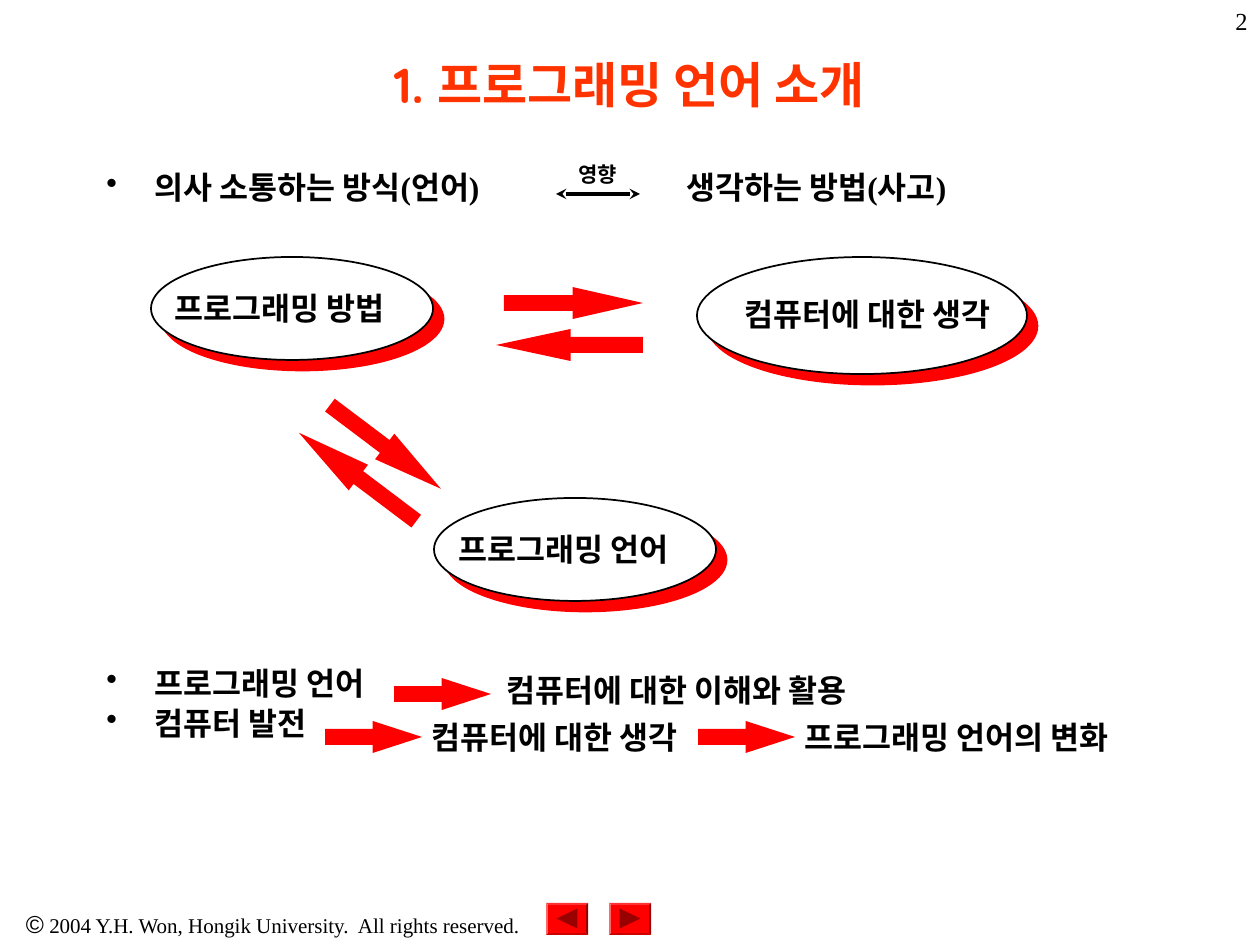
from dataclasses import dataclass

from lxml.etree import SubElement
from pptx import Presentation
from pptx.dml.color import RGBColor
from pptx.enum.shapes import MSO_CONNECTOR, MSO_SHAPE
from pptx.enum.text import MSO_ANCHOR, PP_ALIGN
from pptx.oxml.ns import qn
from pptx.util import Pt

PX = 914400 / 126
BLACK = RGBColor(0x00, 0x00, 0x00)
WHITE = RGBColor(0xFF, 0xFF, 0xFF)
RED = RGBColor(0xFF, 0x00, 0x00)
ORANGE = RGBColor(0xFF, 0x33, 0x00)
DARK_RED = RGBColor(0x99, 0x00, 0x00)
SERIF = "Times New Roman"
KOREAN = "Noto Sans CJK KR"
LINE_SPACING = 0.85
BODY_TOP = 168
ROW_2 = BODY_TOP + 503
ROW_3 = ROW_2 + 47


@dataclass(frozen=True)
class Node:
    text: str
    x: int
    y: int
    w: int
    h: int
    text_x: int
    text_y: int


@dataclass(frozen=True)
class Arrow:
    x: int
    y: int
    w: int
    head: float
    left: bool = False
    angle: int = 0


@dataclass(frozen=True)
class Phrase:
    text: str
    x: int
    y: int
    w: int


ARROWS = [
    Arrow(496, 329, 147, 2.33, left=True),
    Arrow(504, 287, 139, 2.2),
    Arrow(284, 461, 147, 2.33, left=True, angle=37),
    Arrow(316, 431, 139, 2.2, angle=37),
    Arrow(394, 678, 97, 1.54),
    Arrow(325, 721, 97, 1.54),
    Arrow(698, 721, 97, 1.54),
]
NODES = [
    Node("프로그래밍 방법", 151, 257, 282, 103, 162, 283),
    Node("컴퓨터에 대한 생각", 697, 257, 330, 117, 732, 289),
    Node("프로그래밍 언어", 434, 498, 282, 103, 446, 524),
]
BULLETS = [
    ("의사 소통하는 방식(언어)", 0),
    ("프로그래밍 언어", 265),
    ("컴퓨터 발전", 4.5),
]
PHRASES = [
    Phrase("생각하는 방법(사고)", 674, BODY_TOP, 330),
    Phrase("컴퓨터에 대한 이해와 활용", 494, ROW_2, 400),
    Phrase("컴퓨터에 대한 생각", 419, ROW_3, 275),
    Phrase("프로그래밍 언어의 변화", 792, ROW_3, 345),
]


def emu(*lengths: int) -> list[int]:
    return [round(n * PX) for n in lengths]


def add_run(p, text: str, size: float, font: str = SERIF,
            color: RGBColor = BLACK, bold: bool = False) -> None:
    r = p.add_run()
    r.text = text
    r.font.size = Pt(size)
    r.font.name = font
    r.font.bold = bold
    r.font.color.rgb = color
    SubElement(r.font._element, qn("a:ea")).set("typeface", KOREAN)


def add_box(s, x: int, y: int, w: int, h: int, align=PP_ALIGN.LEFT,
            anchor=MSO_ANCHOR.TOP, wrap: bool = True):
    tf = s.shapes.add_textbox(*emu(x, y, w, h)).text_frame
    tf.word_wrap = wrap
    tf.vertical_anchor = anchor
    tf.paragraphs[0].alignment = align
    return tf


def add_shape(s, kind, x: int, y: int, w: int, h: int, fill: RGBColor):
    sp = s.shapes.add_shape(kind, *emu(x, y, w, h))
    sp.shadow.inherit = False
    sp.fill.solid()
    sp.fill.fore_color.rgb = fill
    sp.line.fill.background()
    return sp


def add_arrow(s, arrow: Arrow) -> None:
    kind = MSO_SHAPE.LEFT_ARROW if arrow.left else MSO_SHAPE.RIGHT_ARROW
    sp = add_shape(s, kind, arrow.x, arrow.y, arrow.w, 32, RED)
    sp.adjustments[0] = 0.5
    sp.adjustments[1] = arrow.head
    sp.rotation = arrow.angle


def add_node(s, node: Node) -> None:
    sp = add_shape(s, MSO_SHAPE.OVAL, node.x, node.y, node.w, node.h, WHITE)
    sp.line.color.rgb = BLACK
    sp.line.width = Pt(1)
    effects = sp._element.spPr.find(qn("a:effectLst"))
    shadow = SubElement(effects, qn("a:outerShdw"), blurRad="0",
                        dist=str(Pt(8.5)), dir="2700000", algn="ctr", rotWithShape="0")
    SubElement(shadow, qn("a:srgbClr")).set("val", str(RED))
    tf = add_box(s, node.text_x, node.text_y, node.w - 45, 50, wrap=False)
    add_run(tf.paragraphs[0], node.text, 18, KOREAN, bold=True)


def add_bullets(s) -> None:
    tf = add_box(s, 94, BODY_TOP, 1112, 724)
    for i, (text, gap) in enumerate(BULLETS):
        p = tf.add_paragraph() if i else tf.paragraphs[0]
        p.line_spacing = LINE_SPACING
        if gap:
            p.space_before = Pt(gap)
        pPr = p._p.get_or_add_pPr()
        indent = emu(48)[0]
        pPr.set("marL", str(indent))
        pPr.set("indent", str(-indent))
        SubElement(pPr, qn("a:buChar")).set("char", "•")
        add_run(p, text, 18, bold=True)


def add_phrase(s, phrase: Phrase) -> None:
    p = add_box(s, phrase.x, phrase.y, phrase.w, 50, wrap=False).paragraphs[0]
    p.line_spacing = LINE_SPACING
    add_run(p, phrase.text, 18, bold=True)


def add_influence(s) -> None:
    line = s.shapes.add_connector(MSO_CONNECTOR.STRAIGHT, *emu(556, 194, 640, 194))
    line.line.color.rgb = BLACK
    line.line.width = Pt(2)
    ln = line.line._get_or_add_ln()
    for end in ("a:headEnd", "a:tailEnd"):
        SubElement(ln, qn(end)).set("type", "stealth")
    SubElement(line._element.spPr, qn("a:effectLst"))
    tf = add_box(s, 556, 155, 84, 38, PP_ALIGN.CENTER, MSO_ANCHOR.MIDDLE)
    add_run(tf.paragraphs[0], "영향", 12, KOREAN, bold=True)


def add_button(s, x: int, angle: int) -> None:
    bevel = add_shape(s, MSO_SHAPE.BEVEL, x, 903, 42, 32, RED)
    bevel.adjustments[0] = 0.06
    mark = add_shape(s, MSO_SHAPE.ISOSCELES_TRIANGLE, x + 11, 908, 20, 21, DARK_RED)
    mark.rotation = angle


def main() -> None:
    prs = Presentation()
    prs.slide_width, prs.slide_height = emu(1260, 945)
    s = prs.slides.add_slide(prs.slide_layouts[6])

    p = add_box(s, 0, 903, 546, 43, PP_ALIGN.CENTER).paragraphs[0]
    add_run(p, "©", 14, "Arial")
    add_run(p, " 2004 Y.H. Won, Hongik University.  All rights reserved.", 12)
    add_button(s, 546, 270)
    add_button(s, 609, 90)
    p = add_box(s, 998, 0, 262, 63, PP_ALIGN.RIGHT).paragraphs[0]
    add_run(p, "2", 14)
    p = add_box(s, 94, 10, 1071, 147, PP_ALIGN.CENTER, MSO_ANCHOR.MIDDLE).paragraphs[0]
    add_run(p, "1. 프로그래밍 언어 소개", 28, "Quicksand", ORANGE, True)

    add_bullets(s)
    for phrase in PHRASES:
        add_phrase(s, phrase)
    add_influence(s)
    for arrow in ARROWS:
        add_arrow(s, arrow)
    for node in NODES:
        add_node(s, node)
    prs.save("out.pptx")


if __name__ == "__main__":
    main()
